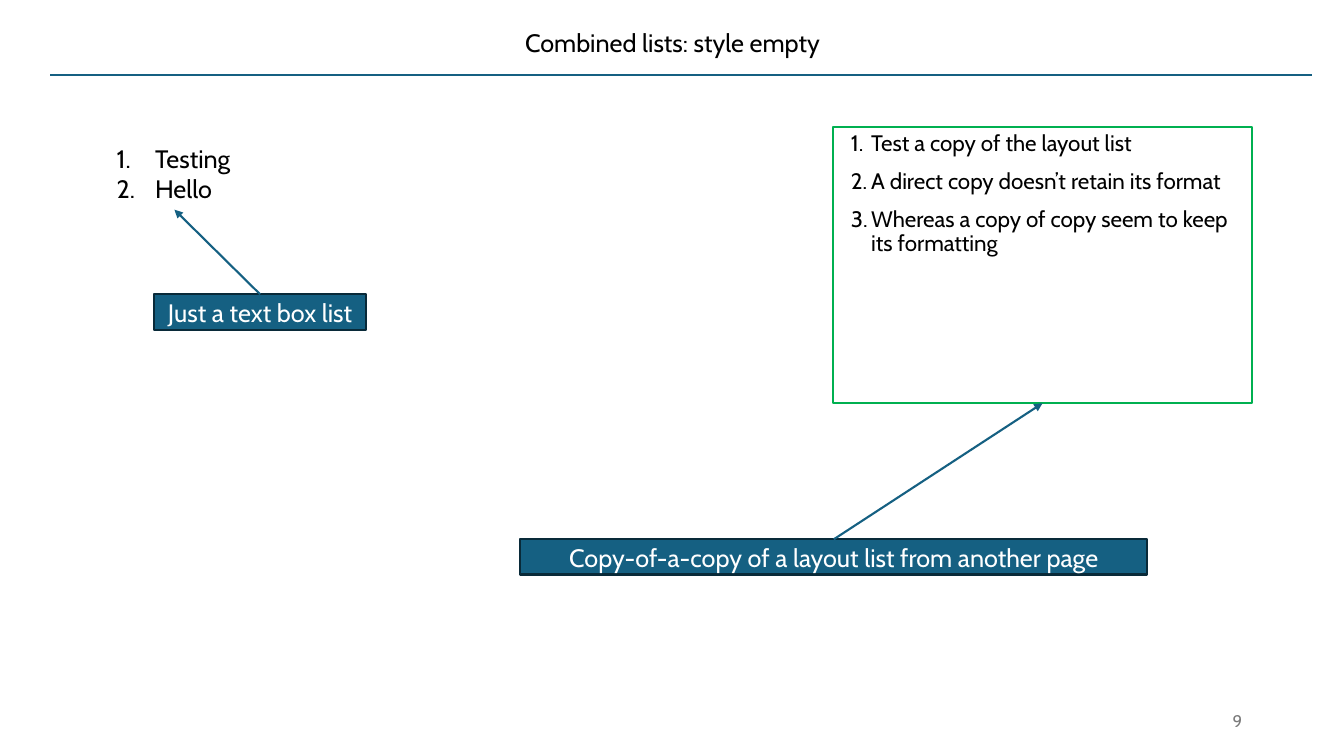
from dataclasses import dataclass

from lxml.etree import SubElement
from pptx import Presentation
from pptx.dml.color import RGBColor
from pptx.enum.shapes import MSO_CONNECTOR as Conn, MSO_SHAPE as Shape
from pptx.enum.text import MSO_ANCHOR as Anchor, MSO_AUTO_SIZE as AutoSize, PP_ALIGN as Align
from pptx.oxml.ns import qn
from pptx.util import Inches, Pt

FONT = "Cabin"
COLORS = {
    "text": "000000",
    "accent": "156082",
    "edge": "092A39",
    "frame": "00B050",
    "label": "FFFFFF",
    "number": "797979",
}


@dataclass
class Label:
    text: str
    left: float
    top: float
    width: float
    target: tuple[float, float]
    height: float = 0.35


LABELS = [
    Label("Just a text box list", 1.53, 2.92, 2.1, (1.73, 2.08)),
    Label("Copy-of-a-copy of a layout list from another page",
          5.16, 5.35, 6.22, (10.34, 4)),
]


def rgb(name: str) -> RGBColor:
    return RGBColor.from_string(COLORS[name])


def place(sp, left: float, top: float, width: float, height: float) -> None:
    sp.left, sp.top = Inches(left), Inches(top)
    sp.width, sp.height = Inches(width), Inches(height)


def number_paragraph(p, hanging: float) -> None:
    pPr = p._p.get_or_add_pPr()
    pPr.set("marL", str(Inches(0.38)))
    pPr.set("indent", str(-Inches(hanging)))
    SubElement(pPr, qn("a:buFont"), typeface=FONT)
    SubElement(pPr, qn("a:buAutoNum"), type="arabicPeriod")


def write(sp, *lines: str, size: float = 18, color: str = "text", align=Align.LEFT,
          anchor=Anchor.TOP, wrap: bool = True, spacing: float = 1,
          before: float = 0, hanging: float = 0) -> None:
    tf = sp.text_frame
    tf.word_wrap, tf.auto_size, tf.vertical_anchor = wrap, AutoSize.NONE, anchor
    for i, line in enumerate(lines):
        p = tf.add_paragraph() if i else tf.paragraphs[0]
        p.alignment, p.line_spacing, p.space_before = align, spacing, Pt(before)
        if hanging:
            number_paragraph(p, hanging)
        r = p.add_run()
        r.text = line
        r.font.name, r.font.size = FONT, Pt(size)
        r.font.color.rgb = rgb(color)


def draw_line(slide, start: tuple[float, float], end: tuple[float, float],
              arrow: bool = False) -> None:
    points = [Inches(v) for v in (*start, *end)]
    line = slide.shapes.add_connector(Conn.STRAIGHT, *points)
    line.line.color.rgb, line.line.width = rgb("accent"), Pt(1.5)
    if arrow:
        SubElement(line.line._get_or_add_ln(), qn("a:tailEnd"), type="triangle")
    SubElement(line._element.spPr, qn("a:effectLst"))


def draw_label(slide, label: Label) -> None:
    sp = slide.shapes.add_shape(Shape.RECTANGLE, 0, 0, 0, 0)
    place(sp, label.left, label.top, label.width, label.height)
    sp.shadow.inherit = False
    sp.fill.solid()
    sp.fill.fore_color.rgb = rgb("accent")
    sp.line.color.rgb, sp.line.width = rgb("edge"), Pt(1.5)
    write(sp, label.text, color="label", align=Align.CENTER, anchor=Anchor.MIDDLE)
    draw_line(slide, (label.left + label.width / 2, label.top), label.target, arrow=True)


def add_text_box(slide, *box: float):
    return slide.shapes.add_textbox(*(Inches(v) for v in box))


def main() -> None:
    prs = Presentation()
    prs.slide_width, prs.slide_height = Inches(13.33), Inches(7.5)
    slide = prs.slides.add_slide(prs.slide_layouts[1])

    # Title and rule
    draw_line(slide, (0.5, 0.74), (13.01, 0.74))
    title = slide.shapes.title
    place(title, 0.92, 0.21, 11.5, 0.46)
    write(title, "Combined lists: style empty", align=Align.CENTER,
          anchor=Anchor.MIDDLE, spacing=0.9)

    # Text box list
    box = add_text_box(slide, 1.06, 1.37, 1.34, 0.71)
    write(box, "Testing", "Hello", wrap=False, hanging=0.38)
    box.text_frame.auto_size = AutoSize.SHAPE_TO_FIT_TEXT

    # Framed layout list
    body = slide.placeholders[1]
    place(body, 8.26, 1.26, 4.16, 2.74)
    body.line.color.rgb, body.line.width = rgb("frame"), Pt(1.5)
    body.text_frame.margin_left = 0
    write(body, "Test a copy of the layout list",
          "A direct copy doesn’t retain its format",
          "Whereas a copy of copy seem to keep its formatting",
          size=16, spacing=0.9, before=10, hanging=0.2)

    # Labels with arrows
    for label in LABELS:
        draw_label(slide, label)

    # Page number
    write(add_text_box(slide, 9.42, 6.95, 3, 0.4), "9", size=12, color="number",
          align=Align.RIGHT, anchor=Anchor.MIDDLE)

    prs.save("out.pptx")


if __name__ == "__main__":
    main()
